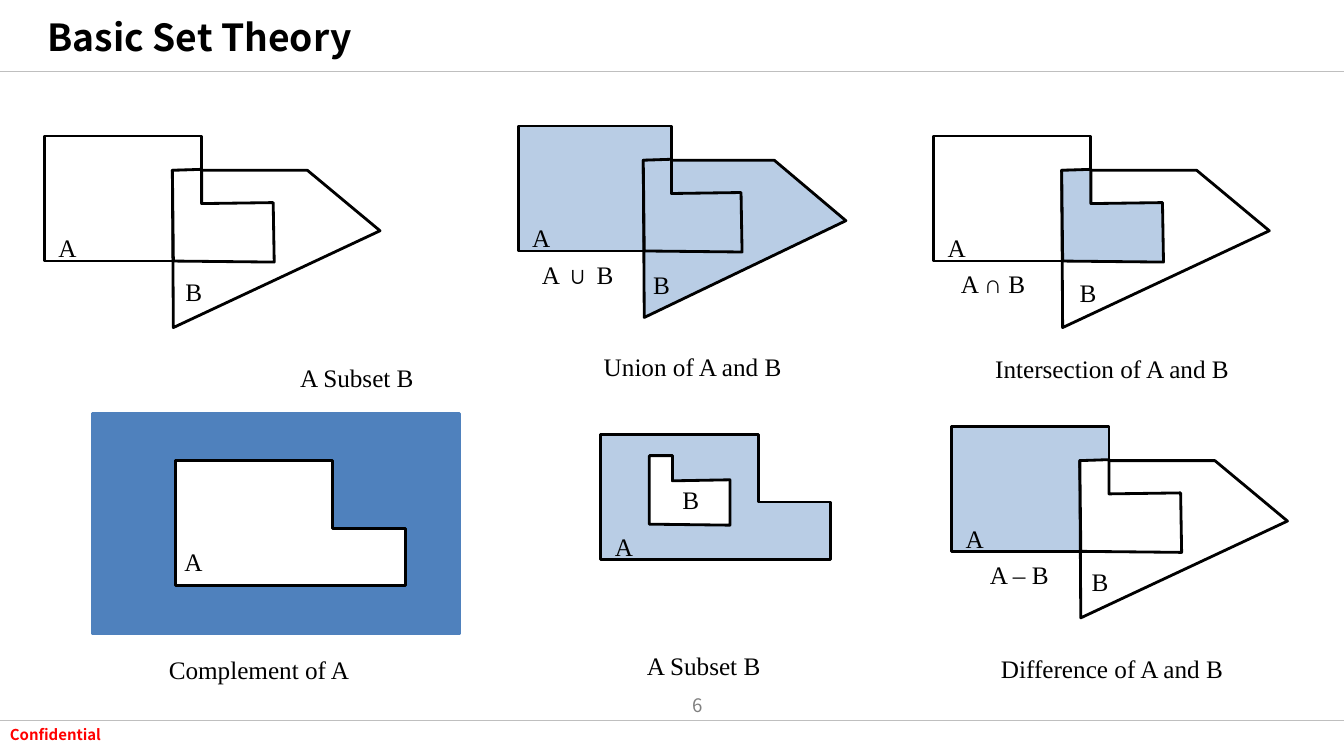
import pptx
import pptx.util
import pptx.dml.color
import pptx.enum.shapes
import pptx.enum.text
import pptx.oxml

PX = 9144  # EMU per px, 100 px to the inch
ALIGN = pptx.enum.text.PP_ALIGN
MIDDLE = pptx.enum.text.MSO_ANCHOR.MIDDLE
THEME = {
    "sans": "Noto Sans CJK KR", "serif": "Times New Roman",
    "title_size": 26.6, "text_size": 18, "number_size": 13.3, "footer_size": 10.7,
    "black": "000000", "white": "FFFFFF", "light": "B9CDE5", "blue": "4F81BD",
    "rule": "BFBFBF", "gray": "808080", "red": "FF0000",
}

# Outlines, measured from the top left corner of set A
SET_A = [(0, 0), (156, 0), (156, 67), (228, 67), (228, 124), (0, 124)]
SET_B = [(127, 34), (261, 34), (333, 94), (128, 190)]
OVERLAP = [(127, 34), (156, 33), (156, 67), (227, 66), (228, 125), (128, 124)]


def color(name):
    return pptx.dml.color.RGBColor.from_string(THEME[name])


def add_text(shapes, text, x, y, w, h, align=ALIGN.LEFT, font="serif",
             size="text_size", ink="black", bold=False):
    tf = shapes.add_textbox(x * PX, y * PX, w * PX, h * PX).text_frame
    tf.word_wrap = True
    p = tf.paragraphs[0]
    p.text = text
    p.alignment = align
    p.font.name = THEME[font]
    p.font.size = pptx.util.Pt(THEME[size])
    p.font.color.rgb = color(ink)
    p.font.bold = bold
    return tf


prs = pptx.Presentation()
prs.slide_width, prs.slide_height = 1333 * PX, 750 * PX
s = prs.slides.add_slide(prs.slide_layouts[5])

# Title, rules and footer
title = s.shapes.title
title.left, title.top, title.width, title.height = 37 * PX, 16 * PX, 810 * PX, 40 * PX
tf = title.text_frame
tf.auto_size = pptx.enum.text.MSO_AUTO_SIZE.NONE
tf.vertical_anchor = MIDDLE
p = tf.paragraphs[0]
p.text = "Basic Set Theory"
p.alignment = ALIGN.LEFT
p.font.name = THEME["sans"]
p.font.size = pptx.util.Pt(THEME["title_size"])
p.font.bold = True
p.font.color.rgb = color("black")

for y in (71, 715):
    rule = s.shapes.add_connector(pptx.enum.shapes.MSO_CONNECTOR.STRAIGHT,
                                  0, y * PX, 1333 * PX, y * PX)
    rule.line.color.rgb = color("rule")
    rule.line.width = pptx.util.Pt(1)
    rule._element.spPr.append(pptx.oxml.parse_xml(
        '<a:effectLst xmlns:a="http://schemas.openxmlformats.org/drawingml/2006/main"/>'))

add_text(s.shapes, "Confidential", 0, 715, 229, 28, font="sans",
         size="footer_size", ink="red", bold=True)
number = add_text(s.shapes, "6", 632, 679, 75, 40, ALIGN.RIGHT, font="sans",
                  size="number_size", ink="gray")
number.vertical_anchor = MIDDLE

# Universe around the complement
universe = s.shapes.add_shape(pptx.enum.shapes.MSO_SHAPE.RECTANGLE,
                              92 * PX, 410 * PX, 364 * PX, 219 * PX)
universe.shadow.inherit = False
universe.fill.solid()
universe.fill.fore_color.rgb = color("blue")
universe.line.color.rgb = color("blue")
universe.line.width = pptx.util.Pt(2)

# Each diagram: outlines (points, x, y, x scale, y scale, fill), labels (text, x, y)
diagrams = []
for x, y, sx, fills, b_label in (
    (44, 135, 1, ("white", "white", "white"), (174, 269)),
    (514, 125, 0.975, ("light", "light", "light"), (638, 262)),
    (926, 135, 1, ("white", "white", "light"), (1061, 270)),
    (944, 423, 1, ("light", "white", "white"), (1073, 557)),
):
    outlines = [(points, x, y, sx, 1, fill)
                for points, fill in zip((SET_A, SET_B, OVERLAP), fills)]
    diagrams.append((outlines, [("A", x + 4, y + 91), ("B", *b_label)]))
diagrams.append(([(SET_A, 174, 457, 1, 1, "white")], [("A", 173, 537)]))
diagrams.append(([(SET_A, 596, 431, 1, 1, "light"), (OVERLAP, 542, 427, 0.8, 0.75, "white")],
                 [("A", 600, 522), ("B", 667, 476)]))

for outlines, labels in diagrams:
    group = s.shapes.add_group_shape()
    for points, x, y, sx, sy, fill in outlines:
        placed = [(round(x + px * sx), round(y + py * sy)) for px, py in points]
        builder = group.shapes.build_freeform(*placed[0], scale=PX)
        builder.add_line_segments(placed[1:], close=True)
        outline = builder.convert_to_shape()
        outline.shadow.inherit = False
        outline.fill.solid()
        outline.fill.fore_color.rgb = color(fill)
        outline.line.color.rgb = color("black")
        outline.line.width = pptx.util.Pt(2)
    for text, x, y in labels:
        add_text(group.shapes, text, x, y, 84, 33)

# Formulas and captions, placed by their centres
CAPTION_W = 300
for text, center, y in (
    ("A ∪ B", 573, 252),
    ("A ∩ B", 985, 261),
    ("A – B", 1011, 550),
    ("A Subset B", 354, 355),
    ("Union of A and B", 687, 344),
    ("Intersection of A and B", 1103, 346),
    ("Complement of A", 257, 644),
    ("A Subset B", 698, 640),
    ("Difference of A and B", 1103, 643),
):
    add_text(s.shapes, text, center - CAPTION_W // 2, y, CAPTION_W, 40, ALIGN.CENTER)

prs.save("out.pptx")
